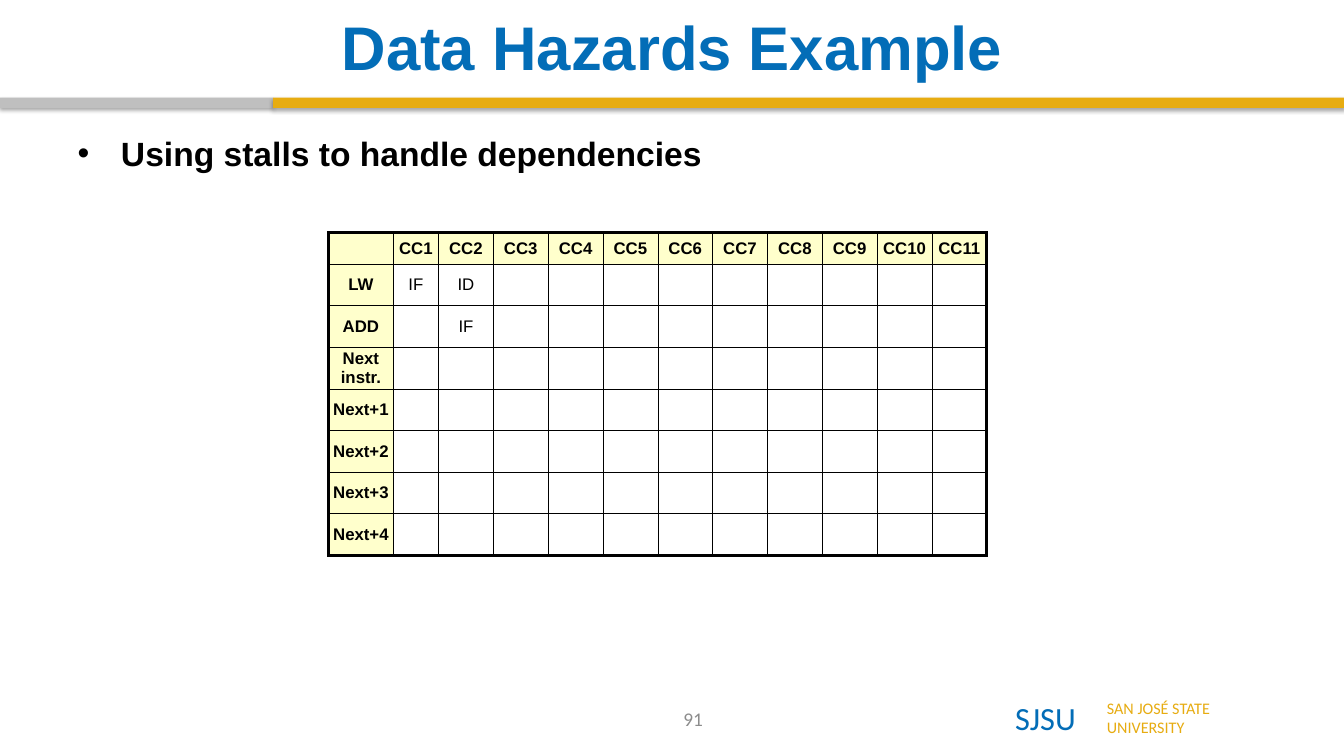
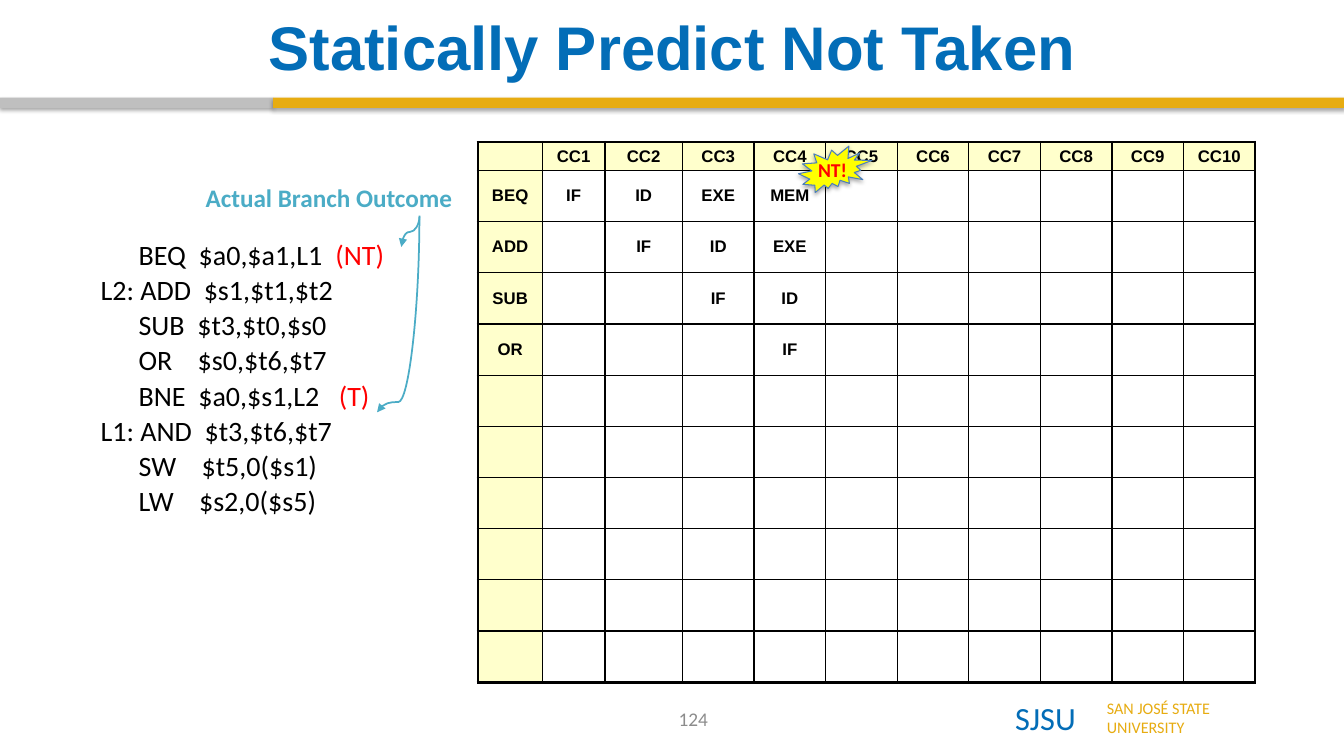
from lxml.etree import SubElement
from pptx import Presentation
from pptx.dml.color import RGBColor
from pptx.enum.shapes import MSO_CONNECTOR, MSO_SHAPE
from pptx.enum.text import MSO_ANCHOR, MSO_AUTO_SIZE, PP_ALIGN
from pptx.oxml.ns import qn
from pptx.util import Pt

PX = 9144
SLIDE_SIZE = (1333, 750)
COLORS = {
    "blue": "036DB7", "gold": "E7AC11", "silver": "BFBFBF", "gray": "8C8C8C",
    "black": "000000", "cream": "FFFFCC", "red": "FF0000", "teal": "4BACC6",
    "yellow": "FFFF00", "burst_edge": "4B7EBC",
}

TITLE_AREA = (67, 8, 1200, 76)
BODY_AREA = (67, 127, 1200, 543)
NUMBER_AREA = (532, 693, 311, 40)
BANDS = [((0, 97, 271, 10), "silver"), ((271, 97, 1062, 10), "gold")]
FOOTERS = [
    ((997, 688, 81, 49), ["SJSU"], 23.1, "blue"),
    ((1088, 688, 126, 49), ["SAN JOSÉ STATE", "UNIVERSITY"], 11.5, "gold"),
]

HAZARDS = {
    "title": "Data Hazards Example",
    "number": "91",
    "bullets": ["Using stalls to handle dependencies"],
    "pipeline": {
        "area": (326, 231, 653, 320),
        "cycles": 11,
        "first_columns": [64, 45],
        "header_height": 31,
        "rows": [["LW", "IF", "ID"], ["ADD", "", "IF"], ["Next instr."],
                 ["Next+1"], ["Next+2"], ["Next+3"], ["Next+4"]],
        "stages_bold": False,
        "inner": 0.5,
        "outer": {"L": 2.25, "R": 2.25, "T": 2.25, "B": 2.25},
    },
}

PREDICTION = {
    "title": "Statically Predict Not Taken",
    "number": "124",
    "pipeline": {
        "area": (474, 141, 771, 536),
        "cycles": 10,
        "first_columns": [64, 62, 77],
        "header_height": 28,
        "rows": [["BEQ", "IF", "ID", "EXE", "MEM"], ["ADD", "", "IF", "ID", "EXE"],
                 ["SUB", "", "", "IF", "ID"], ["OR", "", "", "", "IF"],
                 [], [], [], [], [], []],
        "stages_bold": True,
        "inner": 1,
        "outer": {"L": 2.25, "R": 1, "T": 2.25, "B": 2.25},
    },
    "code_area": (90, 234, 340, 340),
    "code": [
        [("      BEQ  $a0,$a1,L1  ", "black"), ("(NT)", "red")],
        "L2: ADD  $s1,$t1,$t2",
        "      SUB  $t3,$t0,$s0",
        "      OR    $s0,$t6,$t7",
        [("      BNE  $a0,$s1,L2   ", "black"), ("(T)", "red")],
        "L1: AND  $t3,$t6,$t7",
        "      SW    $t5,0($s1)",
        "      LW    $s2,0($s5)",
    ],
    "outcome_area": (194, 176, 267, 40),
    "outcome": "Actual Branch Outcome",
    "arrows": [((416, 215), (398, 245), 50000), ((416, 214), (374, 409), 94800)],
    "burst_area": (792, 145, 73, 46),
    "burst": "NT!",
}


def rgb(name):
    return RGBColor.from_string(COLORS[name])


def emu(lengths):
    return [round(length * PX) for length in lengths]


def place(shape, area):
    shape.left, shape.top, shape.width, shape.height = emu(area)


def write(frame, paragraphs, size, color="black", font="Calibri", bold=False,
          align=None, anchor=None, wrap=True, hanging=0, line_spacing=None, gap=0):
    frame.word_wrap = wrap
    frame.auto_size = MSO_AUTO_SIZE.NONE
    if anchor is not None:
        frame.vertical_anchor = anchor
    for index, content in enumerate(paragraphs):
        paragraph = frame.add_paragraph() if index else frame.paragraphs[0]
        paragraph.alignment = align
        paragraph.line_spacing = line_spacing
        paragraph.space_before = Pt(gap if index else 0)
        if hanging:
            properties = paragraph._p.get_or_add_pPr()
            properties.set("marL", str(hanging * PX))
            properties.set("indent", str(-hanging * PX))
        pieces = [(content, color)] if isinstance(content, str) else content
        for text, piece_color in pieces:
            run = paragraph.add_run()
            run.text = text
            run.font.size = Pt(size)
            run.font.name = font
            run.font.bold = bold
            run.font.color.rgb = rgb(piece_color)


def add_label(slide, area, paragraphs, size, **style):
    label = slide.shapes.add_textbox(*emu(area))
    write(label.text_frame, paragraphs, size, **style)
    return label


def add_shadowed(slide, preset, area, fill, edge=None):
    shape = slide.shapes.add_shape(preset, *emu(area))
    shape.fill.solid()
    shape.fill.fore_color.rgb = rgb(fill)
    if edge:
        shape.line.color.rgb = rgb(edge)
        shape.line.width = Pt(0.75)
    else:
        shape.line.fill.background()
    shape.shadow.inherit = False
    effects = shape.element.spPr.find(qn("a:effectLst"))
    shadow = SubElement(effects, qn("a:outerShdw"), blurRad=str(Pt(3.1)),
                        dist=str(Pt(1.8)), dir="5400000", rotWithShape="0")
    black = SubElement(shadow, qn("a:srgbClr"), val=COLORS["black"])
    SubElement(black, qn("a:alpha"), val="35000")
    return shape


def move_to_master(master, shapes):
    for shape_id, shape in enumerate(shapes, 101):
        shape.element.find(".//" + qn("p:cNvPr")).set("id", str(shape_id))
        master.shapes.element.append(shape.element)


def add_brand(master, slide):
    bands = [add_shadowed(slide, MSO_SHAPE.RECTANGLE, area, fill) for area, fill in BANDS]
    footers = [add_label(slide, area, lines, size, color=color, wrap=False)
               for area, lines, size, color in FOOTERS]
    move_to_master(master, footers + bands)


def start_slide(deck, layout_index, content):
    slide = deck.slides.add_slide(deck.slide_layouts[layout_index])
    write(slide.shapes.title.text_frame, [content["title"]], 44, color="blue",
          font="Arial", bold=True, align=PP_ALIGN.CENTER, anchor=MSO_ANCHOR.MIDDLE)
    add_label(slide, NUMBER_AREA, [content["number"]], 13.8, color="gray",
              align=PP_ALIGN.CENTER, anchor=MSO_ANCHOR.MIDDLE)
    return slide


def add_border(cell, side, width):
    line = SubElement(cell._tc.get_or_add_tcPr(), qn("a:ln" + side), w=str(Pt(width)))
    fill = SubElement(line, qn("a:solidFill"))
    SubElement(fill, qn("a:srgbClr"), val=COLORS["black"])


def add_pipeline(slide, pipeline):
    left, top, width, height = pipeline["area"]
    cycles = pipeline["cycles"]
    header = [""] + [f"CC{cycle}" for cycle in range(1, cycles + 1)]
    rows = [header] + [row + [""] * (cycles + 1 - len(row)) for row in pipeline["rows"]]
    first = pipeline["first_columns"]
    rest = len(header) - len(first)
    widths = first + [(width - sum(first)) / rest] * rest
    row_height = (height - pipeline["header_height"]) / (len(rows) - 1)
    heights = [pipeline["header_height"]] + [row_height] * (len(rows) - 1)

    table = slide.shapes.add_table(len(rows), len(header), *emu(pipeline["area"])).table
    table.first_row = table.horz_banding = False
    for column, column_width in zip(table.columns, emu(widths)):
        column.width = column_width
    for row, height_emu in zip(table.rows, emu(heights)):
        row.height = height_emu

    for r, texts in enumerate(rows):
        for c, text in enumerate(texts):
            cell = table.cell(r, c)
            heading = r == 0 or c == 0
            at_edge = {"L": c == 0, "R": c == cycles, "T": r == 0, "B": r == len(rows) - 1}
            for side, outside in at_edge.items():
                add_border(cell, side, pipeline["outer"][side] if outside else pipeline["inner"])
            if heading:
                cell.fill.solid()
                cell.fill.fore_color.rgb = rgb("cream")
            else:
                cell.fill.background()
            cell.margin_left = cell.margin_right = cell.margin_top = cell.margin_bottom = 0
            cell.vertical_anchor = MSO_ANCHOR.MIDDLE
            if text:
                write(cell.text_frame, [text], 12, font="Arial", align=PP_ALIGN.CENTER,
                      bold=heading or pipeline["stages_bold"])
            else:
                SubElement(cell.text_frame.paragraphs[0]._p, qn("a:endParaRPr"), sz="1200")


def add_curved_arrow(slide, start, end, bend):
    center_x, center_y = (start[0] + end[0]) / 2, (start[1] + end[1]) / 2
    half_length, half_depth = (end[1] - start[1]) / 2, (start[0] - end[0]) / 2
    arrow = slide.shapes.add_connector(MSO_CONNECTOR.CURVE, *emu((
        center_x - half_length, center_y - half_depth,
        center_x + half_length, center_y + half_depth)))
    arrow.line.color.rgb = rgb("teal")
    arrow.line.width = Pt(1.25)
    properties = arrow.element.spPr
    properties.find(qn("a:xfrm")).set("rot", "5400000")
    adjustments = properties.find(qn("a:prstGeom")).find(qn("a:avLst"))
    SubElement(adjustments, qn("a:gd"), name="adj1", fmla=f"val {bend}")
    SubElement(properties.find(qn("a:ln")), qn("a:tailEnd"), type="triangle")
    SubElement(properties, qn("a:effectLst"))


def build_hazards(deck):
    slide = start_slide(deck, 1, HAZARDS)
    add_pipeline(slide, HAZARDS["pipeline"])
    write(slide.placeholders[1].text_frame, HAZARDS["bullets"], 24, font="Arial",
          bold=True, hanging=43)
    return slide


def build_prediction(deck):
    slide = start_slide(deck, 5, PREDICTION)
    add_pipeline(slide, PREDICTION["pipeline"])
    add_label(slide, PREDICTION["code_area"], PREDICTION["code"], 20,
              hanging=37, line_spacing=0.9, gap=3.6)
    add_label(slide, PREDICTION["outcome_area"], [PREDICTION["outcome"]], 18,
              color="teal", bold=True, wrap=False)
    for start, end, bend in PREDICTION["arrows"]:
        add_curved_arrow(slide, start, end, bend)
    burst = add_shadowed(slide, MSO_SHAPE.EXPLOSION2, PREDICTION["burst_area"],
                         "yellow", edge="burst_edge")
    frame = burst.text_frame
    frame.margin_left = frame.margin_right = frame.margin_top = frame.margin_bottom = 0
    write(frame, [PREDICTION["burst"]], 14, color="red", bold=True, wrap=False,
          align=PP_ALIGN.CENTER, anchor=MSO_ANCHOR.MIDDLE)


def main():
    deck = Presentation()
    deck.slide_width, deck.slide_height = emu(SLIDE_SIZE)
    master = deck.slide_master
    place(master.placeholders[0], TITLE_AREA)
    place(master.placeholders[1], BODY_AREA)
    hazards = build_hazards(deck)
    add_brand(master, hazards)
    build_prediction(deck)
    deck.save("out.pptx")


if __name__ == "__main__":
    main()
